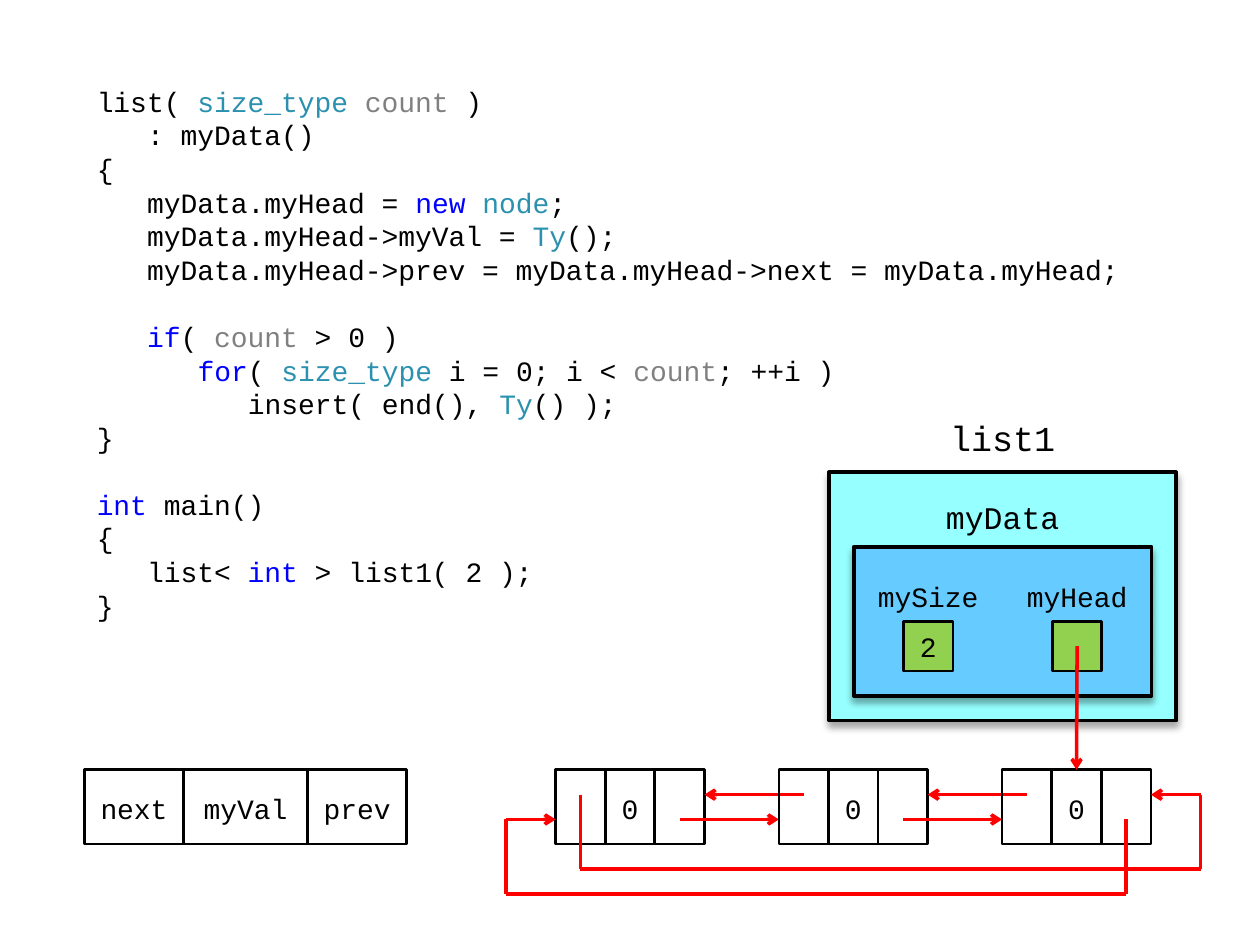
from lxml import etree
from pptx import Presentation
from pptx import util as u
from pptx.dml.color import RGBColor
from pptx.enum import shapes, text
from pptx.oxml.ns import qn

FONT = "Courier New"
BLACK, RED, GREEN = "000000", "FF0000", "92D050"
UNIT = u.Inches(1) / 5.08
RECT = shapes.MSO_SHAPE.RECTANGLE
FLOW = shapes.MSO_SHAPE.FLOWCHART_PROCESS
TIGHT = (0.1, 0.06, 0.1, 0.04)
PLAIN = (0.1, 0.05, 0.1, 0.05)
HUES = {
    "size_type": "2B91AF", "node": "2B91AF", "Ty": "2B91AF",
    "count": "808080",
    "new": "0000FF", "if": "0000FF", "for": "0000FF", "int": "0000FF",
}
CODE = [
    (0, "list( |size_type| |count| )"),
    (1, ": myData()"),
    (0, "{"),
    (1, "myData.myHead = |new| |node|;"),
    (1, "myData.myHead->myVal = |Ty|();"),
    (1, "myData.myHead->prev = myData.myHead->next = myData.myHead;"),
    None,
    (1, "if|( |count| > 0 )"),
    (2, "for|( |size_type| i = 0; i < |count|; ++i )"),
    (3, "insert( end(), |Ty|() );"),
    (0, "}"),
    None,
    (0, "int| main()"),
    (0, "{"),
    (1, "list< |int| > list1( 2 );"),
    (0, "}"),
]


def color(code):
    return RGBColor.from_string(code)


def grid(box, x, y):
    return round(box[0] + x * UNIT), round(box[1] + y * UNIT)


def style(run, size, hue=BLACK):
    run.font.name = FONT
    run.font.size = u.Pt(size)
    run.font.color.rgb = color(hue)


def inset(frame, sides):
    left, top, right, low = map(u.Inches, sides)
    frame.margin_left, frame.margin_top = left, top
    frame.margin_right, frame.margin_bottom = right, low


def label(shape, words, size, sides):
    frame = shape.text_frame
    frame.word_wrap = True
    frame.vertical_anchor = text.MSO_ANCHOR.MIDDLE
    inset(frame, sides)
    frame.text = words
    para = frame.paragraphs[0]
    para.alignment = text.PP_ALIGN.CENTER
    style(para.runs[0], size)


def block(slide, box, x, y, w, h, words="", fill=None, line=1.5,
          kind=RECT, sides=TIGHT):
    shape = slide.shapes.add_shape(kind, *grid(box, x, y), *grid((0, 0), w, h))
    shape.shadow.inherit = False
    if fill:
        shape.fill.solid()
        shape.fill.fore_color.rgb = color(fill)
    else:
        shape.fill.background()
    if line:
        shape.line.color.rgb = color(BLACK)
        shape.line.width = u.Pt(line)
    else:
        shape.line.fill.background()
    if words:
        label(shape, words, 16, sides)
    return shape


def shade(shape):
    effect = shape._element.spPr.find(qn("a:effectLst"))
    cast = etree.SubElement(effect, qn("a:outerShdw"), blurRad=str(u.Pt(4)),
                            dist=str(u.Pt(3)), dir="5400000", rotWithShape="0")
    hue = etree.SubElement(cast, qn("a:srgbClr"), val=BLACK)
    etree.SubElement(hue, qn("a:alpha"), val="35000")


def route(slide, box, points, arrow=True):
    for i, (start, end) in enumerate(zip(points, points[1:]), 2):
        wire = slide.shapes.add_connector(
            shapes.MSO_CONNECTOR.STRAIGHT, *grid(box, *start), *grid(box, *end))
        wire.line.color.rgb = color(RED)
        wire.line.width = u.Pt(2)
        if arrow and i == len(points):
            etree.SubElement(wire.line._get_or_add_ln(), qn("a:tailEnd"), type="arrow")
        etree.SubElement(wire._element.spPr, qn("a:effectLst"))
    return wire


def listing(slide, box):
    frame = slide.shapes.add_textbox(*box).text_frame
    frame.word_wrap = True
    inset(frame, (0.1, 0.07, 0.1, 0.05))
    para, gap = frame.paragraphs[0], 0
    for i, row in enumerate(CODE):
        if row is None:
            gap = 19.2
            continue
        if i:
            para = frame.add_paragraph()
        para.line_spacing = u.Pt(19.2)
        para.space_before = u.Pt(gap)
        gap = 0
        depth, words = row
        props = para._p.get_or_add_pPr()
        props.set("marL", str(u.Inches(0.4 * depth)))
        props.set("indent", "0")
        for part in words.split("|"):
            run = para.add_run()
            run.text = part
            style(run, 16, HUES.get(part, BLACK))


def record(slide, box, widths, words):
    cells, x = [], 0
    for w, word in zip(widths, words):
        cells.append(block(slide, box, x, 0, w, 3, word))
        x += w
    return cells


def chain(slide, box):
    for i in range(3):
        x = 9 * i
        cells = record(slide, grid(box, x, 0), (2, 2, 2), ("", "0", ""))
        if i < 2:
            route(slide, box, [(x + 5, 2), (x + 9, 2)])
            route(slide, box, [(x + 10, 1), (x + 6, 1)])
    route(slide, box, [(23, 2), (23, 5), (-2, 5), (-2, 2), (0, 2)])
    route(slide, box, [(1, 1), (1, 4), (26, 4), (26, 1), (24, 1)])
    return cells[1]


def panel(slide, box, node):
    shade(block(slide, box, 0, 0, 14, 10, "", "96FFFF", 2.25, FLOW))
    shade(block(slide, box, 1, 3, 12, 6, "", "66CCFF", 2.25, FLOW))
    for x, name, value in ((7, "myHead", ""), (1, "mySize", "2")):
        block(slide, box, x, 4, 6, 2, name, None, 0, FLOW, PLAIN)
        block(slide, box, x + 2, 6, 2, 2, value, GREEN, sides=PLAIN)
    for y, name, size, top in ((-3, "list1", 20, 0.04), (0, "myData", 18, 0.12)):
        title = slide.shapes.add_textbox(*grid(box, 4, y), *grid((0, 0), 6, 3))
        label(title, name, size, (0.08, top, 0.08, 0))
    route(slide, box, [(10, 7), (10, 12)]).end_connect(node, 0)


def main():
    deck = Presentation()
    deck.slide_width, deck.slide_height = u.Inches(10), u.Inches(7.5)
    slide = deck.slides.add_slide(deck.slide_layouts[6])
    listing(slide, [u.Inches(n) for n in (0.67, 0.6, 8.66, 4.33)])
    node = chain(slide, (u.Inches(4.41), u.Inches(6.11)))
    panel(slide, (u.Inches(6.58), u.Inches(3.75)), node)
    record(slide, (u.Inches(0.67), u.Inches(6.11)), (4, 5, 4), ("next", "myVal", "prev"))
    deck.save("out.pptx")


if __name__ == "__main__":
    main()
